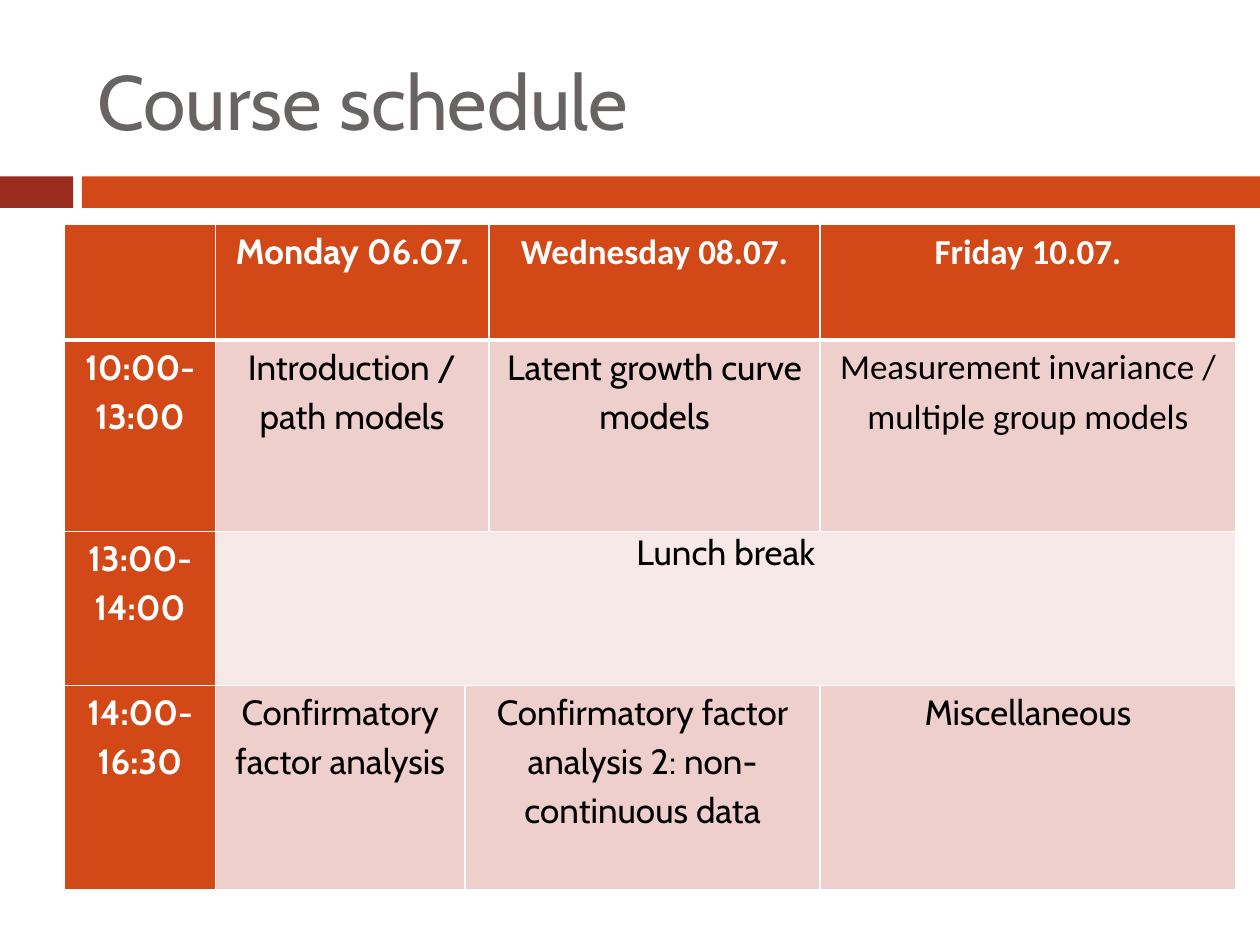
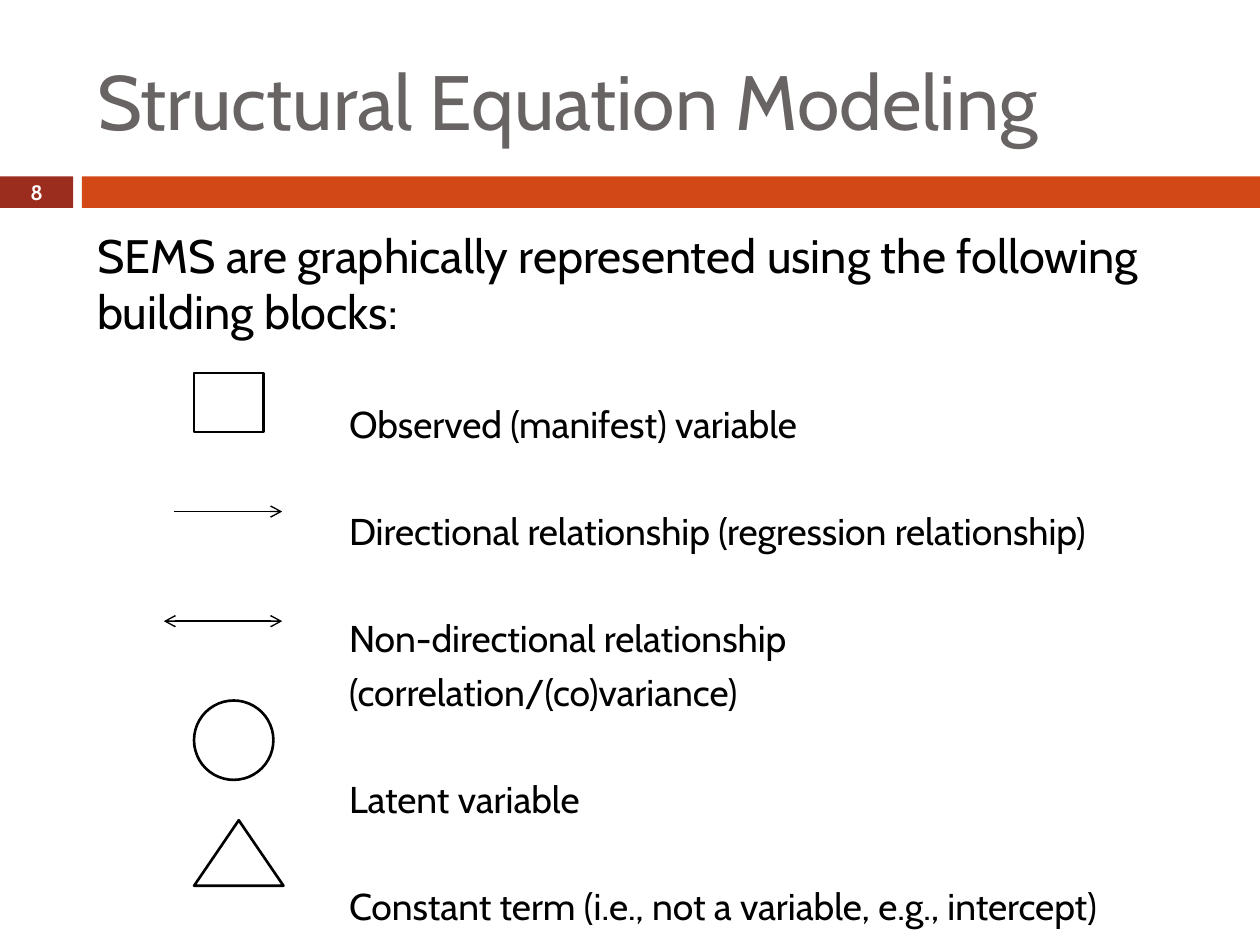
from lxml import etree
from pptx import Presentation
from pptx.dml.color import RGBColor
from pptx.enum.shapes import MSO_CONNECTOR, MSO_SHAPE
from pptx.enum.text import MSO_ANCHOR, MSO_AUTO_SIZE, PP_ALIGN
from pptx.oxml.ns import qn
from pptx.util import Inches, Pt

RECT, OVAL, TRIANGLE = MSO_SHAPE.RECTANGLE, MSO_SHAPE.OVAL, MSO_SHAPE.ISOSCELES_TRIANGLE
STRAIGHT = MSO_CONNECTOR.STRAIGHT
TOP, MIDDLE = MSO_ANCHOR.TOP, MSO_ANCHOR.MIDDLE
LEFT, CENTER = PP_ALIGN.LEFT, PP_ALIGN.CENTER
NO_FIT = MSO_AUTO_SIZE.NONE

COLORS = {
    "accent": "D34817", "dark": "9B2D1F", "title": "696464", "white": "FFFFFF",
    "black": "000000", "pink": "EFCFCC", "pale": "F7E9E8",
}
FONT, ALT_FONT = "Cabin", "Calibri"
TITLE_ONLY, TITLE_AND_BODY = 5, 1
TITLE_BOX = (0.67, 0.25, 8.92, 1.08)
BODY_BOX = (0.67, 1.75, 8.92, 5.31)
NUMBER_BOX = (0, 1.39, 0.58, 0.27)
BANDS = [((0, 1.4, 0.58, 0.25), "dark"), ((0.65, 1.4, 9.35, 0.25), "accent")]

TABLE_BOX = (0.51, 1.78, 9.29, 5.28)
COL_WIDTHS = [1.2, 1.98, 0.19, 2.63, 3.3]
ROW_HEIGHTS = [0.92, 1.52, 1.22, 1.62]
ROW_FILLS = ["accent", "pink", "pale", "pink"]
SCHEDULE = [
    [("", 1, FONT), ("Monday 06.07.", 2, FONT),
     ("Wednesday 08.07.", 1, ALT_FONT), ("Friday 10.07.", 1, ALT_FONT)],
    [("10:00-13:00", 1, FONT), ("Introduction / path models", 2, FONT),
     ("Latent growth curve models", 1, FONT),
     ("Measurement invariance / multiple group models", 1, ALT_FONT)],
    [("13:00-14:00", 1, FONT), ("Lunch break", 4, FONT)],
    [("14:00-16:30", 1, FONT), ("Confirmatory factor analysis", 1, FONT),
     ("Confirmatory factor analysis 2: non-continuous data", 2, FONT),
     ("Miscellaneous", 1, FONT)],
]

INTRO = "SEMS are graphically represented using the following building blocks:"
LABEL_GAP, CONTINUATION_GAP = 35.6, 5
LABELS = [
    ("Observed (manifest) variable", LABEL_GAP),
    ("Directional relationship (regression relationship)", LABEL_GAP),
    ("Non-directional relationship", LABEL_GAP),
    ("(correlation/(co)variance)", CONTINUATION_GAP),
    ("Latent variable", LABEL_GAP),
    ("Constant term (i.e., not a variable, e.g., intercept)", LABEL_GAP),
]
SYMBOLS_ORIGIN = (1.3, 2.96)
SYMBOLS = [
    (RECT, 0.24, 0, 0.55, 0.47),
    (OVAL, 0.24, 2.6, 0.63, 0.63),
    (TRIANGLE, 0.24, 3.55, 0.71, 0.52),
]
ARROWS = [(0.08, 1.1, ["tailEnd"]), (0, 1.97, ["headEnd", "tailEnd"])]
ARROW_END = 0.94


def rgb(name):
    return RGBColor.from_string(COLORS[name])


def inches(box):
    return [Inches(v) for v in box]


def place(sp, box):
    sp.left, sp.top, sp.width, sp.height = inches(box)


def style(p, size, color, font=FONT, bold=False, align=LEFT):
    p.alignment = align
    for r in p.runs:
        r.font.size, r.font.name, r.font.bold = Pt(size), font, bold
        r.font.color.rgb = rgb(color)


def add_preset(s, kind, box, fill, line=None):
    sp = s.shapes.add_shape(kind, *inches(box))
    sp.shadow.inherit = False
    sp.fill.solid()
    sp.fill.fore_color.rgb = rgb(fill)
    if line:
        sp.line.color.rgb = rgb(line)
        sp.line.width = Pt(1.5)
    else:
        sp.line.fill.background()


def add_base_slide(prs, layout, title):
    s = prs.slides.add_slide(prs.slide_layouts[layout])
    for box, fill in BANDS:
        add_preset(s, RECT, box, fill)
    sp = s.shapes.title
    place(sp, TITLE_BOX)
    tf = sp.text_frame
    tf.text = title
    tf.vertical_anchor, tf.auto_size = MIDDLE, NO_FIT
    style(tf.paragraphs[0], 44, "title")
    return s


def add_page_number(s, box, number):
    tf = s.shapes.add_textbox(*inches(box)).text_frame
    tf.word_wrap, tf.vertical_anchor = True, MIDDLE
    tf.margin_left = tf.margin_right = tf.margin_top = tf.margin_bottom = 0
    tf.text = str(number)
    style(tf.paragraphs[0], 11.9, "white", bold=True, align=CENTER)


def set_borders(cell, widths):
    tc_pr = cell._tc.get_or_add_tcPr()
    for side, width in widths.items():
        ln = etree.SubElement(tc_pr, qn(f"a:ln{side}"), w=str(Pt(width)))
        fill = etree.SubElement(ln, qn("a:solidFill"))
        etree.SubElement(fill, qn("a:srgbClr"), val=COLORS["white"])


def format_cell(cell, row, col):
    set_borders(cell, {"L": 1, "R": 1, "T": 3 if row == 1 else 1,
                       "B": 3 if row == 0 else 1})
    cell.fill.solid()
    cell.fill.fore_color.rgb = rgb("accent" if col == 0 else ROW_FILLS[row])
    cell.margin_left = cell.margin_right = Inches(0.04 if row == 0 else 0.07)
    cell.margin_top = cell.margin_bottom = 0


def fill_cell(cell, text, font, heading, spacing):
    cell.text = text
    p = cell.text_frame.paragraphs[0]
    style(p, 20, "white" if heading else "black", font, heading, CENTER)
    p.line_spacing = spacing


def add_schedule(s, box):
    n_rows, n_cols = len(ROW_HEIGHTS), len(COL_WIDTHS)
    table = s.shapes.add_table(n_rows, n_cols, *inches(box)).table
    table.first_row = table.horz_banding = False
    for column, width in zip(table.columns, COL_WIDTHS):
        column.width = Inches(width)
    for row, height in zip(table.rows, ROW_HEIGHTS):
        row.height = Inches(height)
    for i, entries in enumerate(SCHEDULE):
        for j in range(n_cols):
            format_cell(table.cell(i, j), i, j)
        col = 0
        for text, span, font in entries:
            cell = table.cell(i, col)
            if span > 1:
                cell.merge(table.cell(i, col + span - 1))
            if text:
                fill_cell(cell, text, font, i == 0 or col == 0,
                          1.0 if span == 4 else 1.15)
            col += span


def add_building_blocks(s, box):
    sp = s.placeholders[1]
    place(sp, box)
    tf = sp.text_frame
    tf.auto_size, tf.vertical_anchor = NO_FIT, TOP
    entries = [(INTRO, 7, 26.8, 0)] + [(text, gap, 21.3, 2) for text, gap in LABELS]
    for i, (text, gap, size, indent) in enumerate(entries):
        p = tf.paragraphs[0] if i == 0 else tf.add_paragraph()
        p.text = text
        p.level = 1 if indent else 0
        style(p, size, "black")
        p.space_before = Pt(gap)
        p_pr = p._p.get_or_add_pPr()
        p_pr.set("marL", str(Inches(indent)))
        p_pr.set("indent", "0")
        etree.SubElement(p_pr, qn("a:buNone"))


def add_arrow(s, x1, x2, y, ends):
    c = s.shapes.add_connector(STRAIGHT, *inches((x1, y, x2, y)))
    c.line.color.rgb = rgb("black")
    c.line.width = Pt(0.79)
    ln = c.line._get_or_add_ln()
    for end in ends:
        etree.SubElement(ln, qn(f"a:{end}"), type="arrow")
    etree.SubElement(c._element.spPr, qn("a:effectLst"))


def add_symbols(s, origin):
    x, y = origin
    for kind, dx, dy, w, h in SYMBOLS:
        add_preset(s, kind, (x + dx, y + dy, w, h), "white", "black")
    for dx, dy, ends in ARROWS:
        add_arrow(s, x + dx, x + ARROW_END, y + dy, ends)


def main():
    prs = Presentation()
    prs.slide_width, prs.slide_height = Inches(10), Inches(7.5)

    s = add_base_slide(prs, TITLE_ONLY, "Course schedule")
    add_schedule(s, TABLE_BOX)

    s = add_base_slide(prs, TITLE_AND_BODY, "Structural Equation Modeling")
    add_building_blocks(s, BODY_BOX)
    add_symbols(s, SYMBOLS_ORIGIN)
    add_page_number(s, NUMBER_BOX, 8)

    prs.save("out.pptx")


if __name__ == "__main__":
    main()
